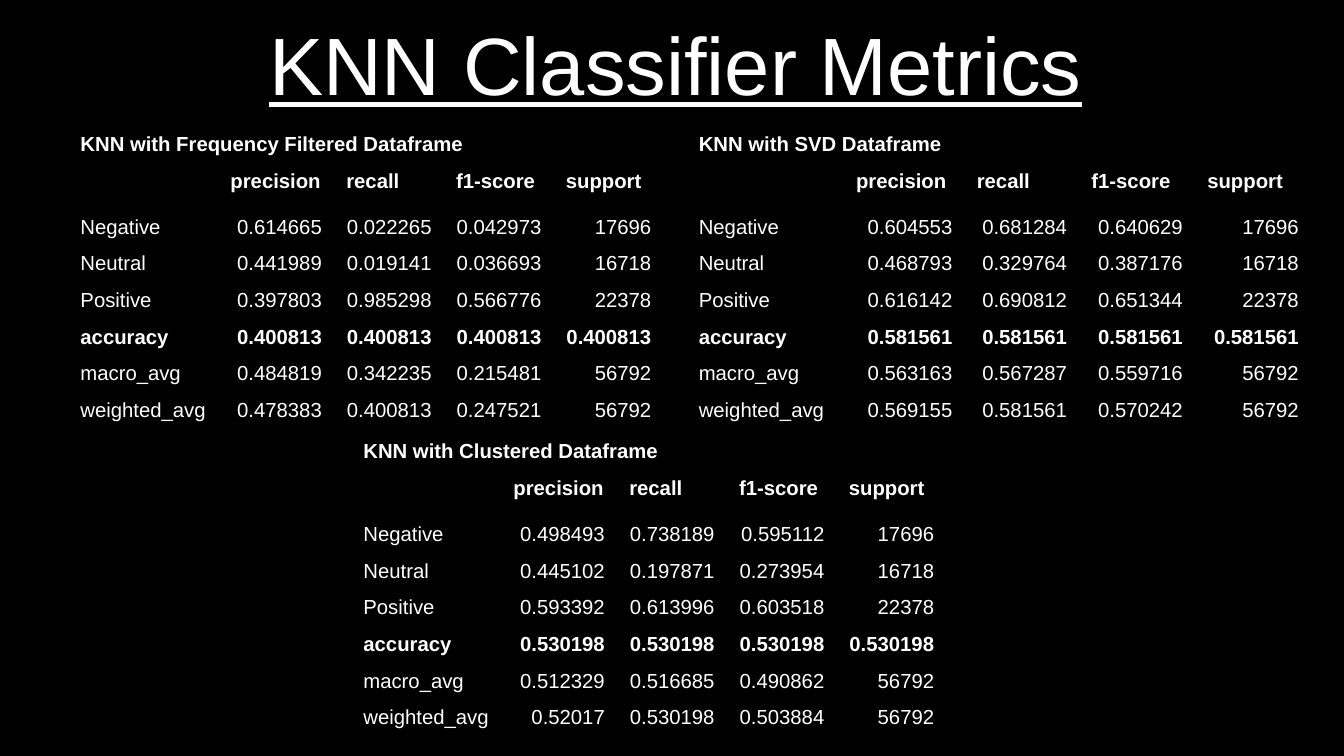
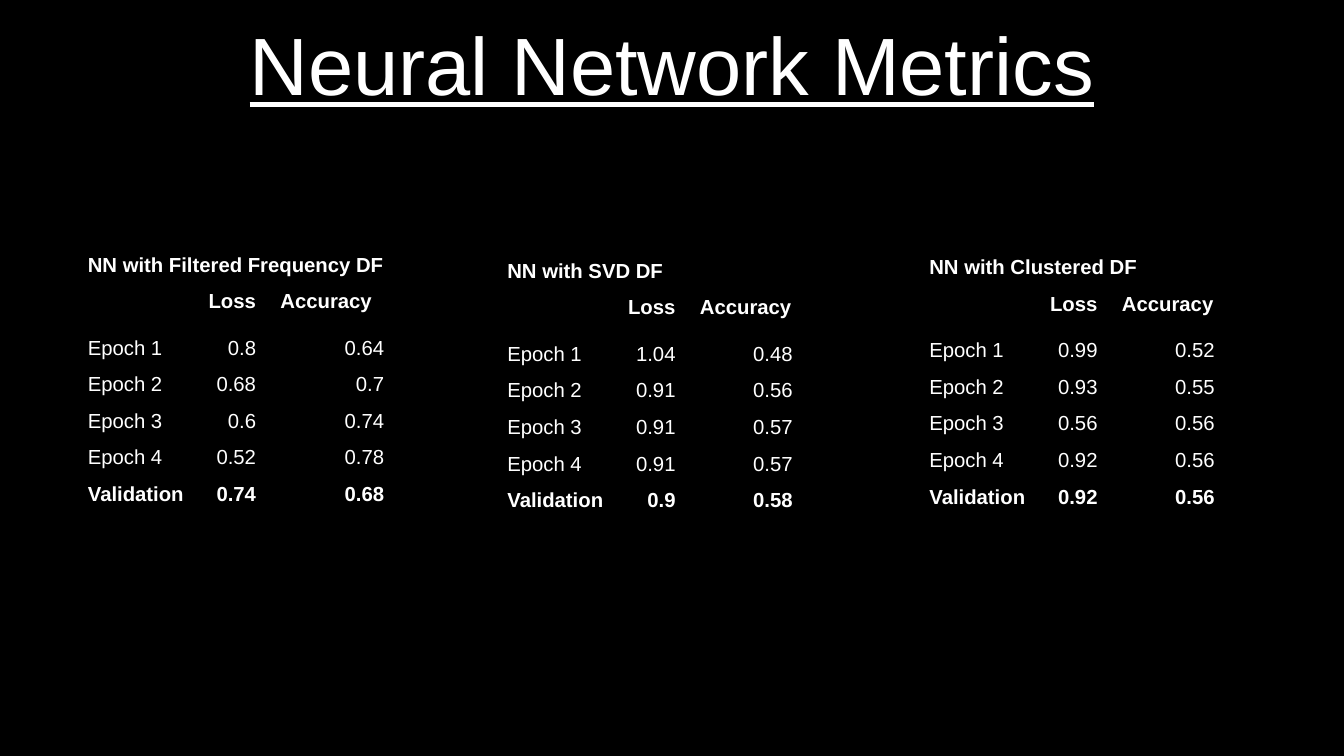
from lxml.etree import SubElement
from pptx import Presentation
from pptx.dml.color import RGBColor
from pptx.enum.text import MSO_ANCHOR, PP_ALIGN
from pptx.oxml.ns import qn
from pptx.util import Inches, Pt

BLACK = RGBColor(0x00, 0x00, 0x00)
WHITE = RGBColor(0xFF, 0xFF, 0xFF)
FONT = "Arial"
ROW_HEIGHT = 0.29
HEADER_HEIGHT = 0.38
BORDER_WIDTH = Pt(0.57)

KNN_HEADER = ["", "precision", "recall", "f1-score", "support"]
KNN_COLUMNS = [1.23, 0.95, 0.9, 0.9, 0.9]
KNN_WIDE_COLUMNS = [1.29, 0.99, 0.94, 0.95, 0.95]
NETWORK_HEADER = ["", "Loss", "Accuracy"]
NETWORK_COLUMNS = [0.99, 0.59, 0.96]
NETWORK_WIDE_COLUMNS = [0.99, 0.59, 1.05]
BOLD_LABELS = ("accuracy", "Validation")

SLIDES = [
    ("KNN Classifier Metrics", 0.58, KNN_HEADER, [
        ("KNN with Frequency Filtered Dataframe", 0.56, 1.04, KNN_COLUMNS, [
            ["Negative", "0.614665", "0.022265", "0.042973", "17696"],
            ["Neutral", "0.441989", "0.019141", "0.036693", "16718"],
            ["Positive", "0.397803", "0.985298", "0.566776", "22378"],
            ["accuracy", "0.400813", "0.400813", "0.400813", "0.400813"],
            ["macro_avg", "0.484819", "0.342235", "0.215481", "56792"],
            ["weighted_avg", "0.478383", "0.400813", "0.247521", "56792"],
        ]),
        ("KNN with SVD Dataframe", 5.63, 1.04, KNN_WIDE_COLUMNS, [
            ["Negative", "0.604553", "0.681284", "0.640629", "17696"],
            ["Neutral", "0.468793", "0.329764", "0.387176", "16718"],
            ["Positive", "0.616142", "0.690812", "0.651344", "22378"],
            ["accuracy", "0.581561", "0.581561", "0.581561", "0.581561"],
            ["macro_avg", "0.563163", "0.567287", "0.559716", "56792"],
            ["weighted_avg", "0.569155", "0.581561", "0.570242", "56792"],
        ]),
        ("KNN with Clustered Dataframe", 2.88, 3.56, KNN_COLUMNS, [
            ["Negative", "0.498493", "0.738189", "0.595112", "17696"],
            ["Neutral", "0.445102", "0.197871", "0.273954", "16718"],
            ["Positive", "0.593392", "0.613996", "0.603518", "22378"],
            ["accuracy", "0.530198", "0.530198", "0.530198", "0.530198"],
            ["macro_avg", "0.512329", "0.516685", "0.490862", "56792"],
            ["weighted_avg", "0.52017", "0.530198", "0.503884", "56792"],
        ]),
    ]),
    ("Neural Network Metrics", 0.55, NETWORK_HEADER, [
        ("NN with Filtered Frequency DF", 0.62, 2.03, NETWORK_WIDE_COLUMNS, [
            ["Epoch 1", "0.8", "0.64"],
            ["Epoch 2", "0.68", "0.7"],
            ["Epoch 3", "0.6", "0.74"],
            ["Epoch 4", "0.52", "0.78"],
            ["Validation", "0.74", "0.68"],
        ]),
        ("NN with SVD DF", 4.06, 2.08, NETWORK_COLUMNS, [
            ["Epoch 1", "1.04", "0.48"],
            ["Epoch 2", "0.91", "0.56"],
            ["Epoch 3", "0.91", "0.57"],
            ["Epoch 4", "0.91", "0.57"],
            ["Validation", "0.9", "0.58"],
        ]),
        ("NN with Clustered DF", 7.52, 2.05, NETWORK_COLUMNS, [
            ["Epoch 1", "0.99", "0.52"],
            ["Epoch 2", "0.93", "0.55"],
            ["Epoch 3", "0.56", "0.56"],
            ["Epoch 4", "0.92", "0.56"],
            ["Validation", "0.92", "0.56"],
        ]),
    ]),
]


def add_span(para, text, size, bold=False, underline=False):
    span = para.add_run()
    span.text = text
    span.font.name = FONT
    span.font.size = Pt(size)
    span.font.color.rgb = WHITE
    span.font.bold = bold
    span.font.underline = underline


def style_cell(cell):
    properties = cell._tc.get_or_add_tcPr()
    for side in ("a:lnL", "a:lnR", "a:lnT", "a:lnB"):
        line = SubElement(properties, qn(side), w=str(BORDER_WIDTH))
        fill = SubElement(line, qn("a:solidFill"))
        SubElement(fill, qn("a:srgbClr"), val=str(BLACK))
    cell.fill.background()


deck = Presentation()
deck.slide_width = Inches(11.02)
deck.slide_height = Inches(6.2)
background = deck.slide_master.background.fill
background.solid()
background.fore_color.rgb = BLACK

for title, title_left, header, tables in SLIDES:
    page = deck.slides.add_slide(deck.slide_layouts[6])
    box = page.shapes.add_textbox(Inches(title_left), 0, Inches(9.92), Inches(1.04))
    box.fill.solid()
    box.fill.fore_color.rgb = BLACK
    frame = box.text_frame
    frame.word_wrap = True
    frame.vertical_anchor = MSO_ANCHOR.MIDDLE
    frame.margin_left = frame.margin_right = frame.margin_top = frame.margin_bottom = 0
    para = frame.paragraphs[0]
    para.alignment = PP_ALIGN.CENTER
    add_span(para, title, 48, underline=True)

    for caption, left, top, widths, records in tables:
        rows = [[caption] + [""] * (len(header) - 1), header] + records
        heights = [ROW_HEIGHT, HEADER_HEIGHT] + [ROW_HEIGHT] * len(records)
        table = page.shapes.add_table(
            len(rows), len(header), Inches(left), Inches(top),
            Inches(sum(widths)), Inches(sum(heights))).table
        table.first_row = False
        table.horz_banding = False
        for column, width in zip(table.columns, widths):
            column.width = Inches(width)
        for row_index, (row, height) in enumerate(zip(rows, heights)):
            table.rows[row_index].height = Inches(height)
            bold = row_index < 2 or row[0] in BOLD_LABELS
            for column_index, text in enumerate(row):
                cell = table.cell(row_index, column_index)
                style_cell(cell)
                para = cell.text_frame.paragraphs[0]
                if text:
                    if row_index > 1 and column_index > 0:
                        para.alignment = PP_ALIGN.RIGHT
                    add_span(para, text, 12, bold)
                else:
                    SubElement(para._p, qn("a:endParaRPr"), sz="1200")
        table.cell(0, 0).merge(table.cell(0, len(header) - 1))

deck.save("out.pptx")
